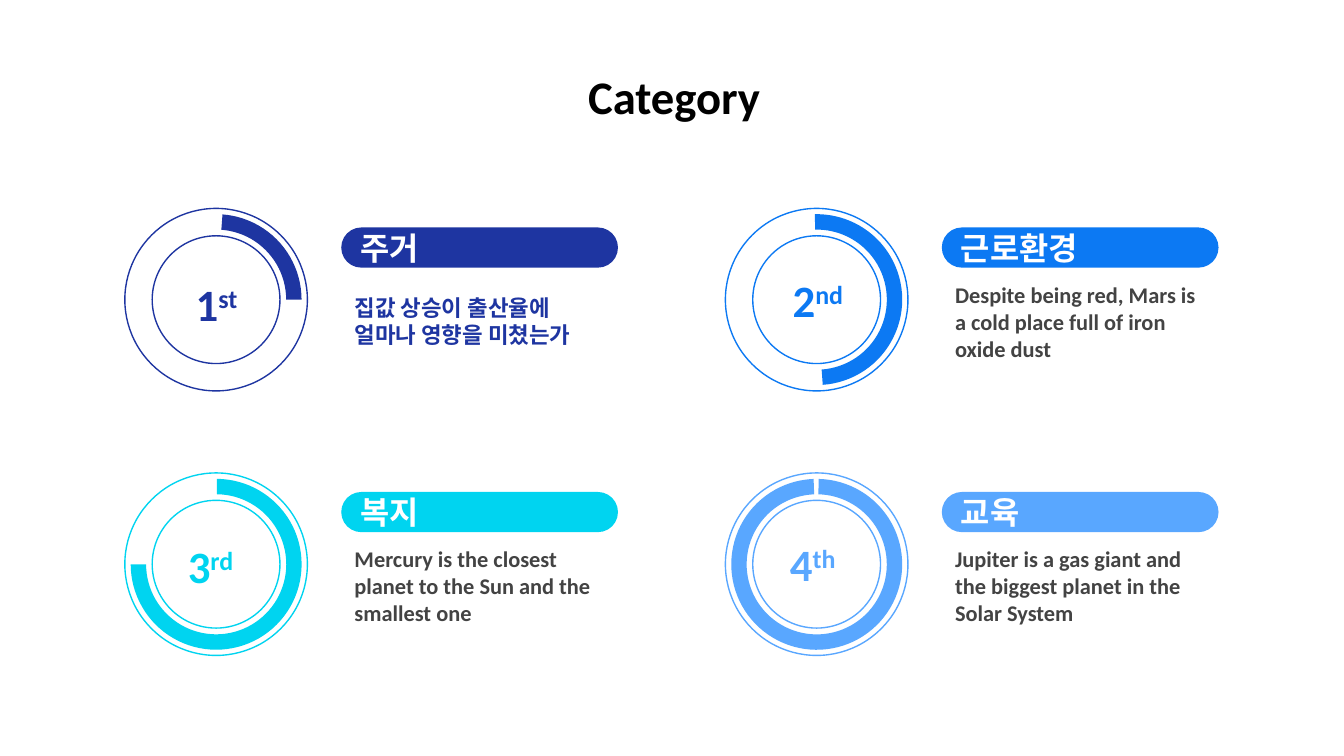
"""Build a slide ranking four categories with progress rings."""
from pptx import Presentation
from pptx.dml.color import RGBColor
from pptx.enum.shapes import MSO_SHAPE as Shape
from pptx.enum.text import MSO_ANCHOR as Anchor, MSO_AUTO_SIZE as AutoSize, PP_ALIGN as Align
from pptx.util import Cm, Pt

TITLE = "Category"
CATEGORIES = [
    dict(rank=("1", "st"), name="주거", detail="집값 상승이 출산율에 얼마나 영향을 미쳤는가",
         color="1E35A1", detail_color="1E35A1", arc=(274.31, 359.99), turn=0,
         rank_box=(1.09, 1.17, 1.5)),
    dict(rank=("2", "nd"), name="근로환경", detail="Despite being red, Mars is a cold place full of iron oxide dust",
         color="0C79F3", detail_color="434343", arc=(182.7, 359.99), turn=86,
         rank_box=(1.02, 1.09, 1.6)),
    dict(rank=("3", "rd"), name="복지", detail="Mercury is the closest planet to the Sun and the smallest one",
         color="00D4F0", detail_color="434343", arc=(90.52, 359.99), turn=180,
         rank_box=(0.94, 1.12, 1.55)),
    dict(rank=("4", "th"), name="교육", detail="Jupiter is a gas giant and the biggest planet in the Solar System",
         color="59A7FF", detail_color="434343", arc=(45.65, 42.22), turn=225.7,
         rank_box=(0.97, 1.09, 1.65)),
]
THEME = dict(font="Calibri", title=25, rank=24, name=17, detail=12,
             black="000000", white="FFFFFF", line=0.75)
LEFT, TOP, COLUMN_STEP, ROW_STEP = 2.36, 3.94, 11.35, 5
RING, ARC, ARC_WIDTH = 3.45, 3.23, 0.09
TEXT_OFFSET, TEXT_WIDTH = 4.09, 5.23
INSET = 0.25
ANGLE_UNIT = 0.6


def box(left, top, width, height):
    return [Cm(value) for value in (left, top, width, height)]


def style(paragraph, size, color):
    for run in paragraph.runs:
        run.font.name = THEME["font"]
        run.font.size = Pt(THEME[size])
        run.font.bold = True
        run.font.color.rgb = RGBColor.from_string(color)


def write(holder, text, size, color, align=Align.LEFT):
    frame = holder.text_frame
    frame.text = text
    frame.word_wrap = True
    frame.auto_size = AutoSize.NONE
    frame.vertical_anchor = Anchor.MIDDLE
    frame.margin_left = frame.margin_right = frame.margin_top = frame.margin_bottom = Cm(INSET)
    frame.paragraphs[0].alignment = align
    style(frame.paragraphs[0], size, color)


def draw(shapes, preset, place, adjustments, fill=None, line=None):
    shape = shapes.add_shape(preset, *place)
    shape.shadow.inherit = False
    for index, value in enumerate(adjustments):
        shape.adjustments[index] = value
    if fill:
        shape.fill.solid()
        shape.fill.fore_color.rgb = RGBColor.from_string(fill)
    else:
        shape.fill.background()
    if line:
        shape.line.color.rgb = RGBColor.from_string(line)
        shape.line.width = Pt(THEME["line"])
    else:
        shape.line.fill.background()
    return shape


def add_ring(slide, category, left, top):
    ring = slide.shapes.add_group_shape().shapes
    draw(ring, Shape.DONUT, box(left, top, RING, RING), [0.15], line=category["color"])
    gap = (RING - ARC) / 2
    angles = [degrees * ANGLE_UNIT for degrees in category["arc"]]
    arc = draw(ring, Shape.BLOCK_ARC, box(left + gap, top + gap, ARC, ARC),
               [*angles, ARC_WIDTH], fill=category["color"])
    arc.rotation = category["turn"]


def add_description(slide, category, left, top):
    description = slide.shapes.add_group_shape().shapes
    detail = description.add_textbox(*box(left, top + 1.17, TEXT_WIDTH, 1.93))
    write(detail, category["detail"], "detail", category["detail_color"])
    pill = draw(description, Shape.ROUNDED_RECTANGLE, box(left, top + 0.36, TEXT_WIDTH, 0.76),
                [0.5], fill=category["color"])
    write(pill, category["name"], "name", THEME["white"])


def add_rank(slide, category, left, top):
    across, down, width = category["rank_box"]
    frame = slide.shapes.add_textbox(*box(left + across, top + down, width, 1.27)).text_frame
    frame.word_wrap = False
    frame.auto_size = AutoSize.SHAPE_TO_FIT_TEXT
    paragraph = frame.paragraphs[0]
    for part in category["rank"]:
        paragraph.add_run().text = part
    style(paragraph, "rank", category["color"])
    paragraph.runs[1].font._element.set("baseline", "30000")


def main():
    deck = Presentation()
    deck.slide_width, deck.slide_height = Cm(25.4), Cm(14.29)
    slide = deck.slides.add_slide(deck.slide_layouts[5])
    title = slide.shapes.title
    title.left, title.top, title.width, title.height = box(1.35, 1.14, 22.78, 1.35)
    write(title, TITLE, "title", THEME["black"], Align.CENTER)
    for index, category in enumerate(CATEGORIES):
        row, column = divmod(index, 2)
        left, top = LEFT + column * COLUMN_STEP, TOP + row * ROW_STEP
        add_ring(slide, category, left, top)
        add_description(slide, category, left + TEXT_OFFSET, top)
        add_rank(slide, category, left, top)
    deck.save("out.pptx")


if __name__ == "__main__":
    main()
